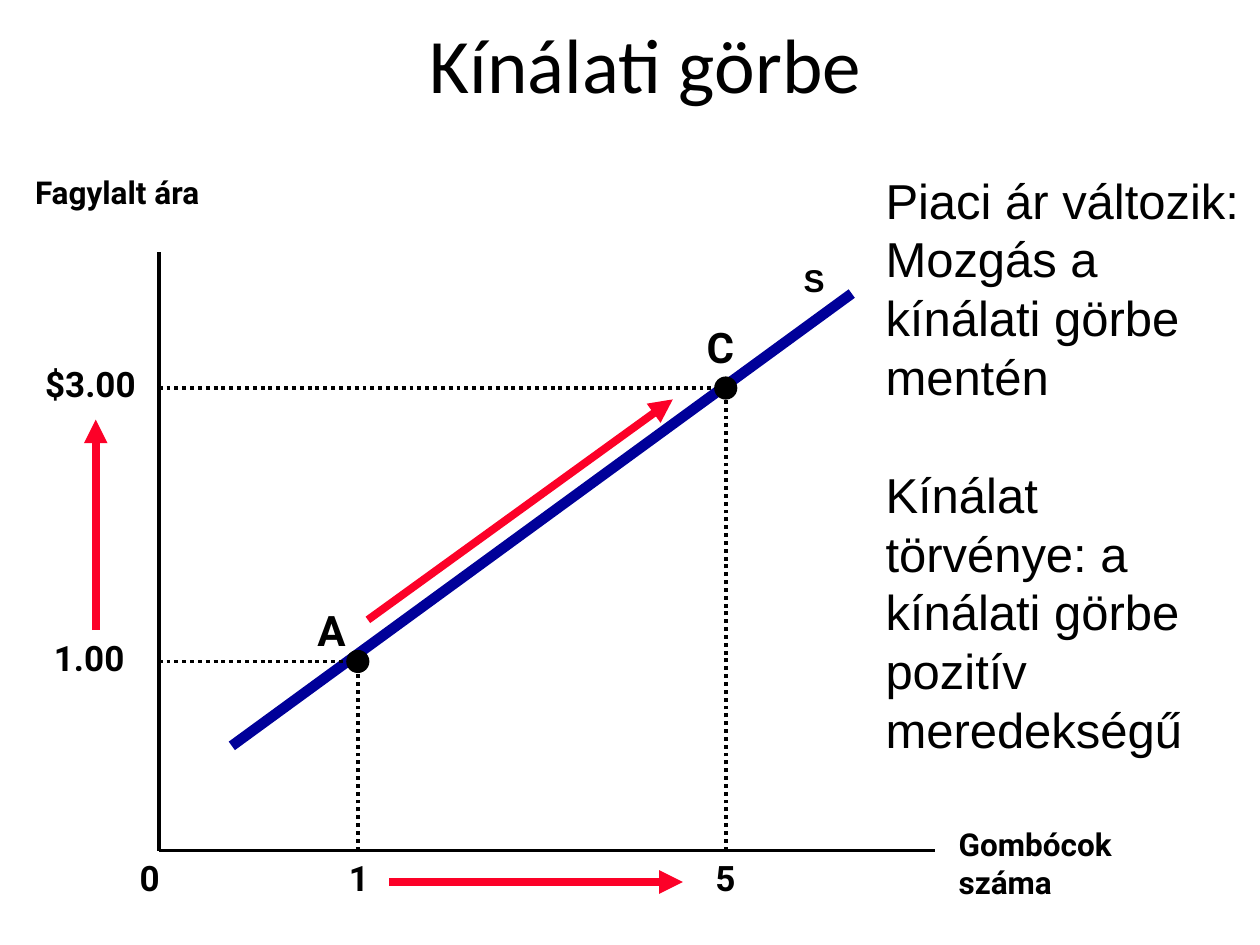
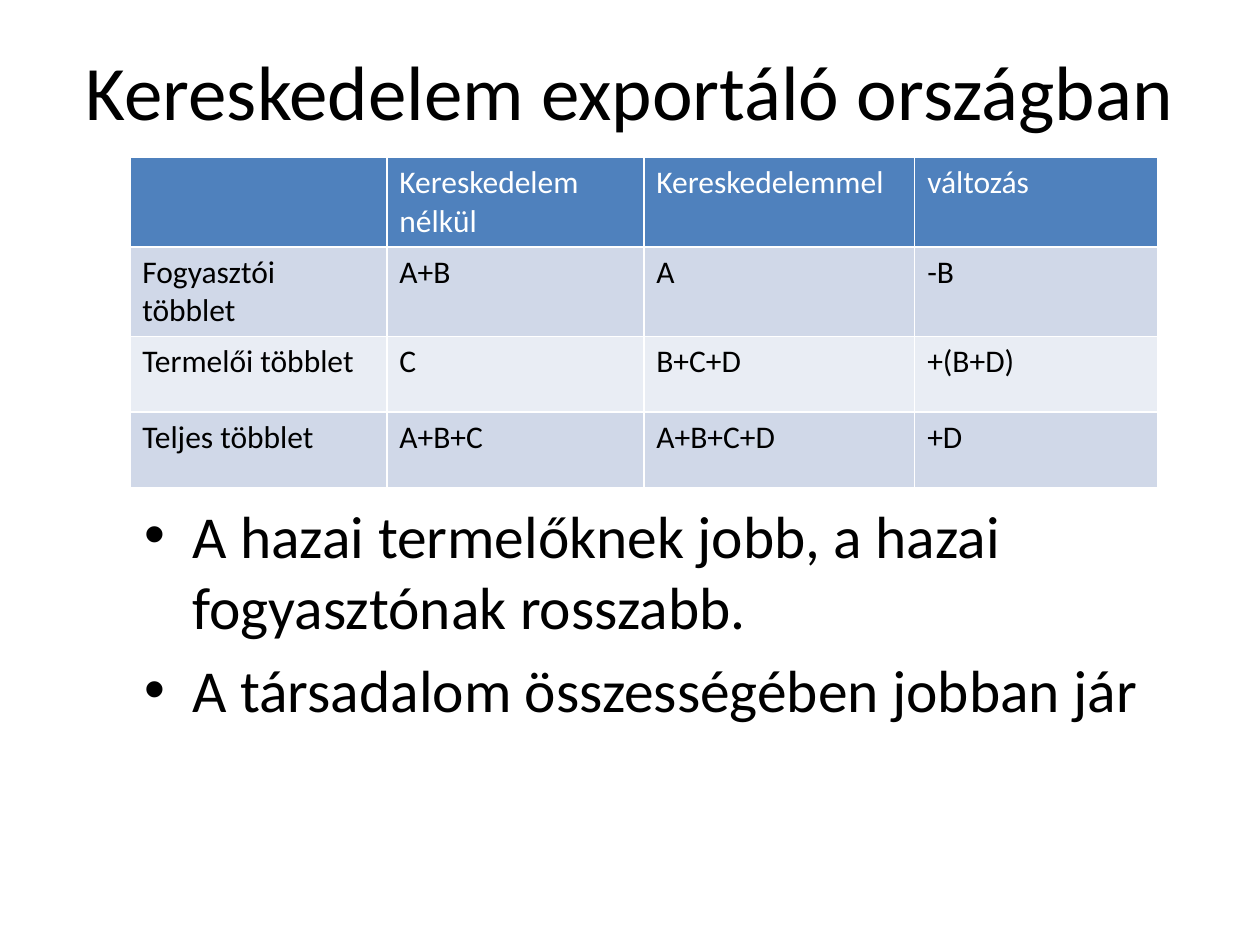
from dataclasses import dataclass

from pptx import Presentation
from pptx.dml.color import RGBColor
from pptx.enum.dml import MSO_LINE
from pptx.enum.shapes import MSO_CONNECTOR, MSO_SHAPE
from pptx.enum.text import MSO_ANCHOR, PP_ALIGN
from pptx.oxml.ns import qn
from pptx.util import Inches, Pt
from lxml.etree import SubElement


@dataclass(frozen=True)
class Theme:
    black: str = "000000"
    white: str = "FFFFFF"
    supply: str = "000099"
    change: str = "FC0128"
    header: str = "4F81BD"
    bands: tuple = ("D0D8E8", "E9EDF4")
    heading_font: str = "Calibri"
    graph_font: str = "Roboto"
    note_font: str = "Arial"
    title: int = 44
    bullet: int = 34
    note: int = 28
    point: int = 24
    value: int = 20
    label: int = 18


theme = Theme()


def write(frame, text, size, font=theme.heading_font, color=theme.black, bold=False,
          align=PP_ALIGN.LEFT, gaps=(), bullet=None):
    """Fill a text frame, one paragraph per line; gaps are the points between them."""
    frame.word_wrap = True
    for number, line in enumerate(text.split("\n")):
        paragraph = frame.add_paragraph() if number else frame.paragraphs[0]
        paragraph.text = line
        if bullet:
            properties = paragraph._p.get_or_add_pPr()
            properties.set("marL", str(Inches(0.38)))
            properties.set("indent", str(-Inches(0.38)))
            SubElement(properties, qn("a:buFont"), typeface="Arial")
            SubElement(properties, qn("a:buChar"), char=bullet)
        paragraph.alignment = align
        paragraph.space_before = Pt(gaps[number - 1] if number else 0)
        paragraph.font.size = Pt(size)
        paragraph.font.name = font
        paragraph.font.bold = bold
        paragraph.font.color.rgb = RGBColor.from_string(color)


def draw_line(slide, start, end, color=theme.black, width=2.25, dash=None, arrow=False):
    """Draw a straight line between two (x, y) points in inches."""
    line = slide.shapes.add_connector(
        MSO_CONNECTOR.STRAIGHT, *[Inches(length) for length in (*start, *end)])
    line.line.color.rgb = RGBColor.from_string(color)
    line.line.width = Pt(width)
    if dash:
        line.line.dash_style = dash
    if arrow:
        SubElement(line.line._get_or_add_ln(), qn("a:tailEnd"), type="triangle")
    SubElement(line._element.spPr, qn("a:effectLst"))


prs = Presentation()
prs.slide_width, prs.slide_height = Inches(10), Inches(7.5)

# Slides and their titles
slides = []
for heading, left, top, width in [
    ("Kínálati görbe", 0.25, 0.08, 9.75),
    ("Kereskedelem exportáló országban", 0.5, 0.3, 9),
]:
    slide = prs.slides.add_slide(prs.slide_layouts[5])
    title = slide.shapes.title
    title.left, title.top = Inches(left), Inches(top)
    title.width, title.height = Inches(width), Inches(0.83)
    title.text_frame.vertical_anchor = MSO_ANCHOR.MIDDLE
    write(title.text_frame, heading, theme.title, align=PP_ALIGN.CENTER)
    slides.append(slide)
supply_slide, trade_slide = slides

# Axes and supply curve
origin_x, origin_y = 1.26, 6.75
draw_line(supply_slide, (origin_x, 2), (origin_x, origin_y))
draw_line(supply_slide, (origin_x, origin_y), (7.42, origin_y))
draw_line(supply_slide, (1.84, 5.92), (6.76, 2.33), theme.supply, 6)

# Points on the curve with their guide lines
dot = 0.17
for x, y in [(2.84, 5.25), (5.76, 3.08)]:
    for foot in [(origin_x, y), (x, origin_y)]:
        draw_line(supply_slide, foot, (x, y), dash=MSO_LINE.ROUND_DOT)
    point = supply_slide.shapes.add_shape(
        MSO_SHAPE.OVAL, Inches(x - dot / 2), Inches(y - dot / 2), Inches(dot), Inches(dot))
    point.shadow.inherit = False
    point.fill.solid()
    point.fill.fore_color.rgb = RGBColor.from_string(theme.black)
    point.line.color.rgb = RGBColor.from_string(theme.black)
    point.line.width = Pt(1)

# Movements in price, in quantity and along the curve
for start, end in [
    ((0.76, 5), (0.76, 3.33)),
    ((3.09, 7), (5.42, 7)),
    ((2.92, 4.92), (5.34, 3.17)),
]:
    draw_line(supply_slide, start, end, theme.change, 4.5, arrow=True)

# Graph labels
for text, left, top, width, height, size, font in [
    ("0", 1.01, 6.75, 0.5, 0.43, theme.value, theme.graph_font),
    ("1", 2.67, 6.75, 0.5, 0.43, theme.value, theme.graph_font),
    ("5", 5.58, 6.75, 0.5, 0.43, theme.value, theme.graph_font),
    ("1.00", 0.33, 5, 1, 0.43, theme.value, theme.graph_font),
    ("$3.00", 0.26, 2.83, 1, 0.43, theme.value, theme.graph_font),
    ("A", 2.42, 4.75, 0.42, 0.5, theme.point, theme.graph_font),
    ("C", 5.51, 2.5, 0.42, 0.5, theme.point, theme.graph_font),
    ("S", 6.28, 2.02, 0.67, 0.63, theme.label, theme.note_font),
    ("Fagylalt ára", 0.18, 1.32, 1.67, 0.71, theme.label, theme.graph_font),
    ("Gombócok száma", 7.51, 6.5, 1.67, 0.71, theme.label, theme.graph_font),
]:
    label = supply_slide.shapes.add_textbox(
        Inches(left), Inches(top), Inches(width), Inches(height))
    write(label.text_frame, text, size, font=font, bold=True)

# Movement along the curve and law of supply
note = supply_slide.shapes.add_textbox(Inches(6.93), Inches(1.3), Inches(3.03), Inches(4.81))
write(note.text_frame,
      "Piaci ár változik:\n"
      "Mozgás a kínálati görbe mentén\n"
      "Kínálat törvénye: a kínálati görbe pozitív meredekségű",
      theme.note, font=theme.note_font, gaps=(0, 33.7))

# Surplus table
surplus_rows = [
    ("", "Kereskedelem nélkül", "Kereskedelemmel", "változás"),
    ("Fogyasztói többlet", "A+B", "A", "-B"),
    ("Termelői többlet", "C", "B+C+D", "+(B+D)"),
    ("Teljes többlet", "A+B+C", "A+B+C+D", "+D"),
]
surplus = trade_slide.shapes.add_table(
    4, 4, Inches(1.03), Inches(1.25), Inches(8.16), Inches(2.6)).table
for column, width in zip(surplus.columns, (2.04, 2.04, 2.15, 1.93)):
    column.width = Inches(width)
for row, height in zip(surplus.rows, (0.7, 0.7, 0.6, 0.6)):
    row.height = Inches(height)
for r, values in enumerate(surplus_rows):
    for c, value in enumerate(values):
        cell = surplus.cell(r, c)
        cell.fill.solid()
        cell.fill.fore_color.rgb = RGBColor.from_string(
            theme.bands[(r - 1) % 2] if r else theme.header)
        write(cell.text_frame, value, theme.label, color=theme.black if r else theme.white)

# Conclusions
conclusions = trade_slide.shapes.add_textbox(
    Inches(1.05), Inches(3.91), Inches(8.9), Inches(3.4))
write(conclusions.text_frame,
      "A hazai termelőknek jobb, a hazai fogyasztónak rosszabb.\n"
      "A társadalom összességében jobban jár",
      theme.bullet, gaps=(6.8,), bullet="•")

prs.save("out.pptx")
